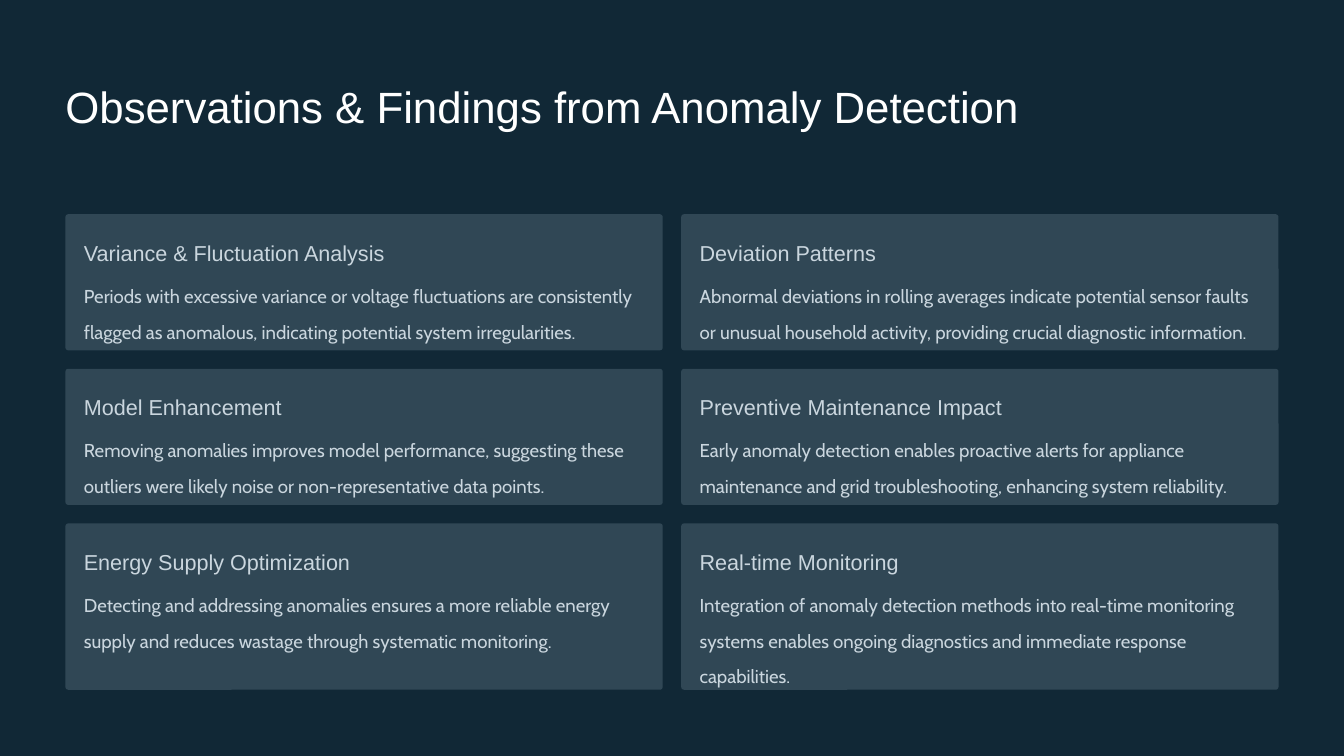
from pptx import Presentation
from pptx.dml.color import RGBColor
from pptx.enum.shapes import MSO_SHAPE
from pptx.enum.text import MSO_ANCHOR
from pptx.util import Pt

BACKGROUND, CARD, TITLE, BODY = "112836", "304755", "FFFFFF", "CAD6DE"
MARGIN, CARD_TOP = 56.1, 183.6
CARD_WIDTH, GAP, PADDING = 512, 15.8, 15.8
ROW_HEIGHTS = [116.7, 116.7, 142.6]
CORNER_RADIUS = 2.45

FINDINGS = [
    [("Variance & Fluctuation Analysis",
      "Periods with excessive variance or voltage fluctuations are consistently "
      "flagged as anomalous, indicating potential system irregularities."),
     ("Deviation Patterns",
      "Abnormal deviations in rolling averages indicate potential sensor faults "
      "or unusual household activity, providing crucial diagnostic information.")],
    [("Model Enhancement",
      "Removing anomalies improves model performance, suggesting these "
      "outliers were likely noise or non-representative data points."),
     ("Preventive Maintenance Impact",
      "Early anomaly detection enables proactive alerts for appliance "
      "maintenance and grid troubleshooting, enhancing system reliability.")],
    [("Energy Supply Optimization",
      "Detecting and addressing anomalies ensures a more reliable energy "
      "supply and reduces wastage through systematic monitoring."),
     ("Real-time Monitoring",
      "Integration of anomaly detection methods into real-time monitoring "
      "systems enables ongoing diagnostics and immediate response capabilities.")],
]


def set_fill(fill, color):
    fill.solid()
    fill.fore_color.rgb = RGBColor.from_string(color)


def add_text(slide, left, top, width, height, text, font, size, color, spacing):
    box = slide.shapes.add_textbox(Pt(left), Pt(top), Pt(width), Pt(height))
    frame = box.text_frame
    frame.word_wrap = True
    frame.vertical_anchor = MSO_ANCHOR.TOP
    frame.margin_left = frame.margin_top = frame.margin_right = frame.margin_bottom = 0
    paragraph = frame.paragraphs[0]
    paragraph.line_spacing = spacing
    run = paragraph.add_run()
    run.text = text
    run.font.name = font
    run.font.size = Pt(size)
    set_fill(run.font.fill, color)


def add_card(slide, left, top, width, height, heading, description):
    card = slide.shapes.add_shape(
        MSO_SHAPE.ROUNDED_RECTANGLE, Pt(left), Pt(top), Pt(width), Pt(height))
    card.adjustments[0] = CORNER_RADIUS / height
    card.shadow.inherit = False
    card.line.fill.background()
    set_fill(card.fill, CARD)

    text_left, text_width = left + PADDING, width - 2 * PADDING
    add_text(slide, text_left, top + PADDING, text_width, 24,
             heading, "Arial", 18.5, BODY, 1.27)
    add_text(slide, text_left, top + 49.2, text_width, height - 49.2 - PADDING,
             description, "Cabin", 16, BODY, 1.59)


def add_card_grid(slide, left, top):
    for row, height in zip(FINDINGS, ROW_HEIGHTS):
        for column, (heading, description) in enumerate(row):
            add_card(slide, left + column * (CARD_WIDTH + GAP), top,
                     CARD_WIDTH, height, heading, description)
        top += height + GAP


def main():
    presentation = Presentation()
    presentation.slide_width, presentation.slide_height = Pt(1152), Pt(648)
    slide = presentation.slides.add_slide(presentation.slide_layouts[6])
    set_fill(slide.background.fill, BACKGROUND)
    add_text(slide, MARGIN, 57, 2 * CARD_WIDTH + GAP, 94,
             "Observations & Findings from Anomaly Detection", "Arial", 37.5, TITLE, 1.25)
    add_card_grid(slide, MARGIN, CARD_TOP)
    presentation.save("out.pptx")


if __name__ == "__main__":
    main()
